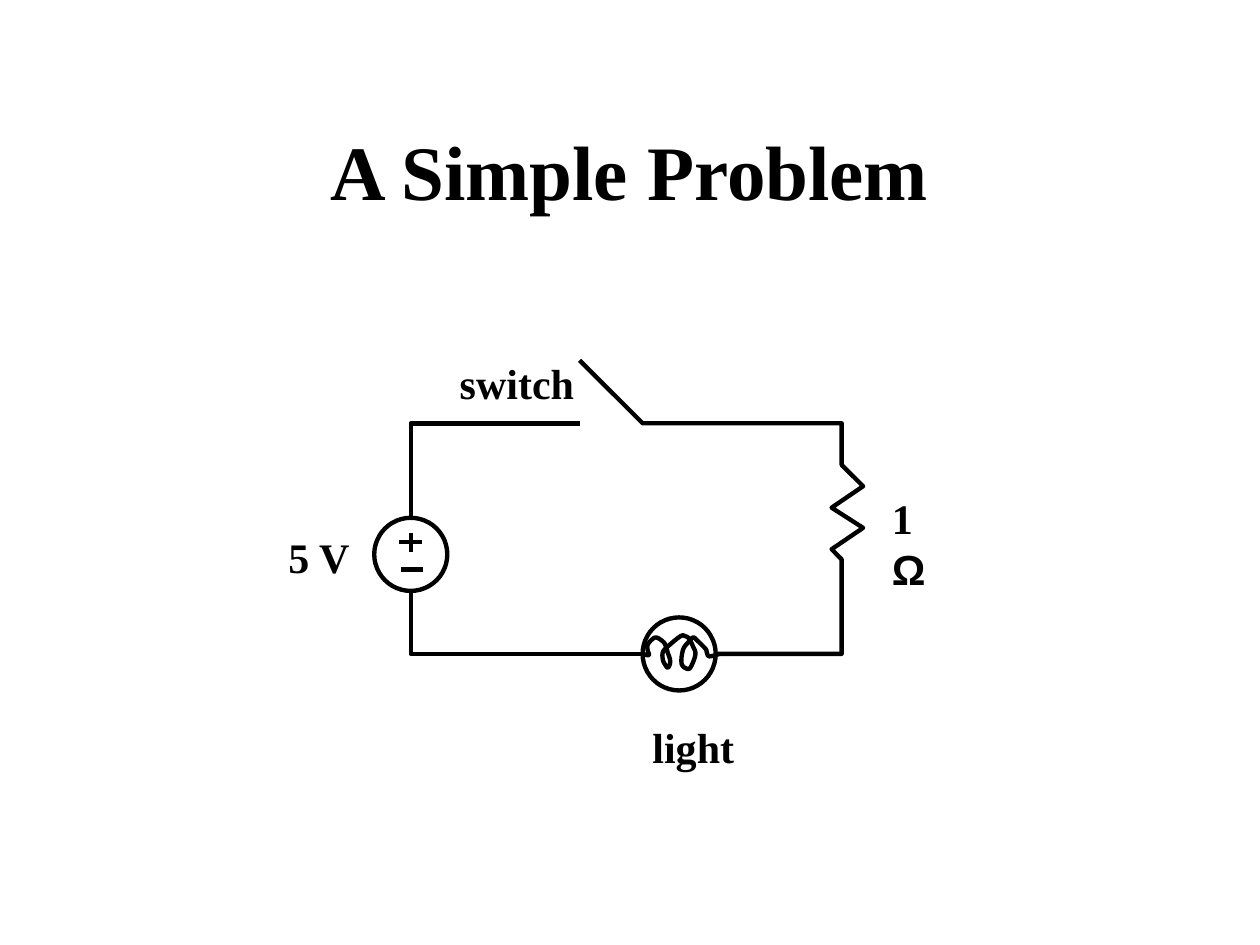
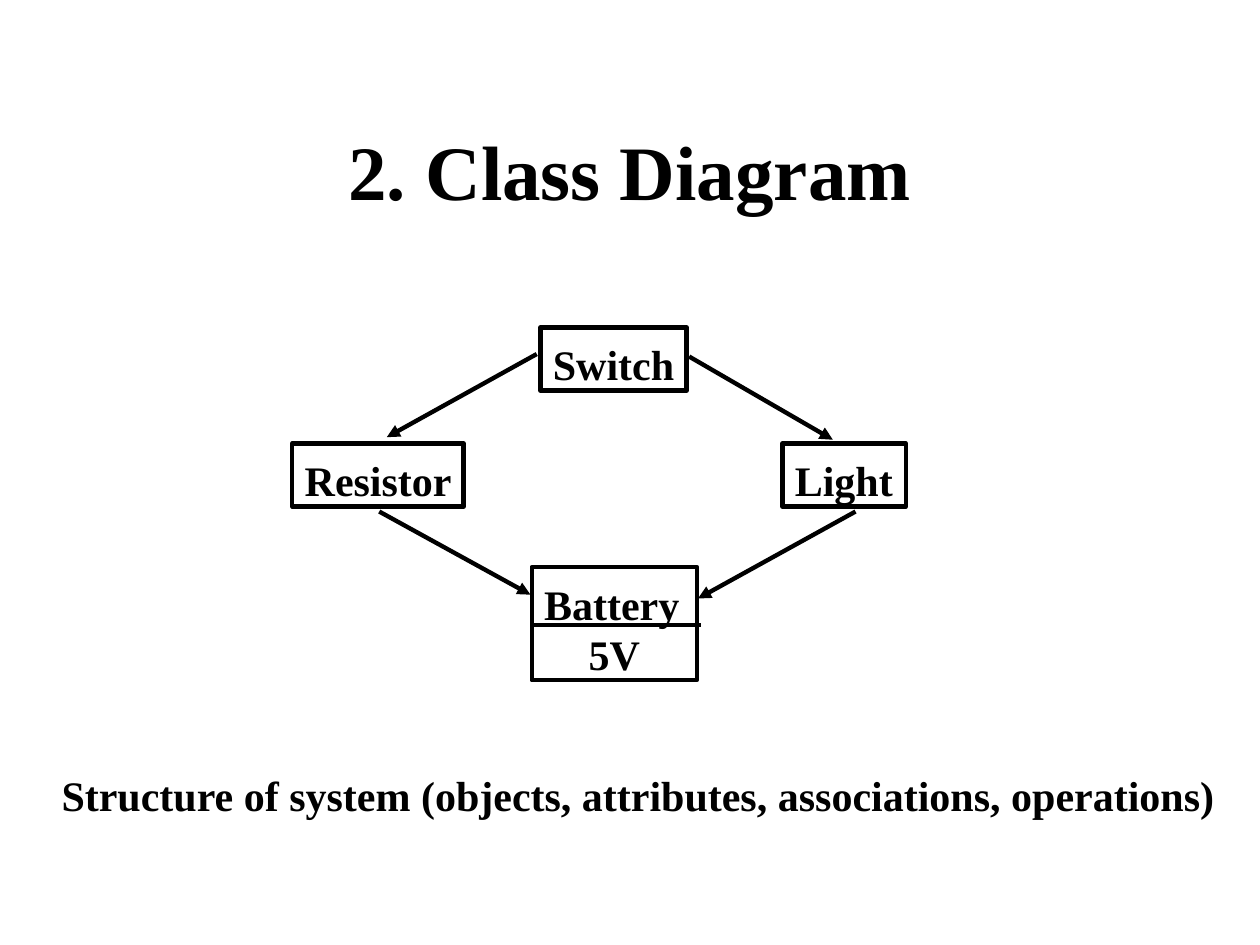
from dataclasses import dataclass
from typing import NamedTuple

from lxml.etree import SubElement
from pptx import Presentation
from pptx.dml.color import RGBColor
from pptx.enum.shapes import MSO_CONNECTOR, MSO_SHAPE
from pptx.enum.text import MSO_ANCHOR, PP_ALIGN
from pptx.oxml.ns import qn
from pptx.shapes.base import BaseShape
from pptx.slide import Slide
from pptx.text.text import TextFrame
from pptx.util import Inches, Pt


@dataclass(frozen=True)
class Theme:
    ink: RGBColor = RGBColor(0, 0, 0)
    font: str = "Times New Roman"
    symbol_font: str = "Arial"
    title_size: int = 44
    body_size: int = 24
    line_width: float = 2.5
    text_top: float = 0.09


THEME = Theme()


class Point(NamedTuple):
    x: float
    y: float


class Box(NamedTuple):
    left: float
    top: float
    width: float
    height: float


class Label(NamedTuple):
    text: str
    box: Box


class Line(NamedTuple):
    start: Point
    end: Point


TITLE_BOX = Box(0.75, 0.72, 8.5, 1.25)

# Circuit: the loop runs between these edges.
LEFT, RIGHT, TOP, BOTTOM = 3.26, 6.68, 3.36, 5.19
SOURCE = Box(2.97, 4.11, 0.58, 0.58)
BULB = Box(5.1, 4.9, 0.58, 0.58)
SWITCH_GAP = (4.6, 5.1)
ZIGZAG = [Point(RIGHT, 3.69), Point(6.85, 3.86), Point(6.6, 4.03),
          Point(6.85, 4.19), Point(6.6, 4.36), Point(RIGHT, 4.44)]
WIRES = [
    [Point(LEFT, SOURCE.top), Point(LEFT, TOP), Point(SWITCH_GAP[0], TOP)],
    [Point(SWITCH_GAP[0], 2.86), Point(SWITCH_GAP[1], TOP), Point(RIGHT, TOP),
     *ZIGZAG, Point(RIGHT, BOTTOM), Point(BULB.left + BULB.width, BOTTOM)],
    [Point(BULB.left, BOTTOM), Point(LEFT, BOTTOM),
     Point(LEFT, SOURCE.top + SOURCE.height)],
]
FILAMENT = [Point(x, y) for x, y in (
    (5.1, 5.19), (5.15, 5.2), (5.14, 5.16), (5.14, 5.12), (5.17, 5.08),
    (5.21, 5.06), (5.27, 5.1), (5.29, 5.15), (5.3, 5.18), (5.32, 5.25),
    (5.3, 5.3), (5.27, 5.26), (5.26, 5.23), (5.26, 5.18), (5.29, 5.14),
    (5.4, 5.05), (5.44, 5.05), (5.47, 5.07), (5.5, 5.13), (5.52, 5.19),
    (5.49, 5.28), (5.46, 5.31), (5.41, 5.27), (5.42, 5.16), (5.46, 5.1),
    (5.5, 5.06), (5.53, 5.08), (5.6, 5.15), (5.61, 5.18), (5.63, 5.21),
    (5.71, 5.19))]
POLARITY_SIGNS = [
    Line(Point(LEFT, 4.23), Point(LEFT, 4.38)),
    Line(Point(3.17, 4.3), Point(3.35, 4.3)),
    Line(Point(3.18, 4.52), Point(3.36, 4.52)),
]
CIRCUIT_LABELS = [
    Label("5 V", Box(2.19, 4.13, 0.69, 0.5)),
    Label("light", Box(5.08, 5.64, 0.85, 0.5)),
    Label("switch", Box(3.55, 2.75, 1.11, 0.5)),
]
RESISTANCE_BOX = Box(6.98, 3.82, 0.66, 0.9)

CLASSES = [
    Label("Switch", Box(4.29, 2.6, 1.16, 0.5)),
    Label("Resistor", Box(2.32, 3.52, 1.36, 0.5)),
    Label("Light", Box(6.21, 3.52, 0.98, 0.5)),
]
BATTERY_BOX = Box(4.22, 4.5, 1.31, 0.9)
BATTERY_DIVIDER = Line(Point(4.22, 4.96), Point(5.56, 4.96))
ASSOCIATIONS = [
    Line(Point(4.26, 2.81), Point(3.07, 3.47)),
    Line(Point(5.47, 2.83), Point(6.61, 3.49)),
    Line(Point(3.01, 4.06), Point(4.21, 4.72)),
    Line(Point(6.79, 4.06), Point(5.54, 4.75)),
]
CAPTION = Label("Structure of system (objects, attributes, associations, operations)",
                Box(0.39, 6.02, 9.35, 0.5))


def inches(box: Box) -> list[Inches]:
    return [Inches(length) for length in box]


def write(frame: TextFrame, text: str, *, size: int = THEME.body_size,
          font: str = THEME.font, align: PP_ALIGN = PP_ALIGN.LEFT,
          new_paragraph: bool = False) -> None:
    """Append a run to the last paragraph, or to a new one."""
    paragraph = frame.add_paragraph() if new_paragraph else frame.paragraphs[-1]
    paragraph.alignment = align
    run = paragraph.add_run()
    run.text = text
    run.font.size = Pt(size)
    run.font.name = font
    run.font.bold = True
    run.font.color.rgb = THEME.ink


def prepare_frame(shape: BaseShape, wrap: bool = False) -> TextFrame:
    frame = shape.text_frame
    frame.word_wrap = wrap
    frame.vertical_anchor = MSO_ANCHOR.TOP
    frame.margin_top = Inches(THEME.text_top)
    return frame


def add_text_frame(slide: Slide, box: Box, wrap: bool = False) -> TextFrame:
    return prepare_frame(slide.shapes.add_textbox(*inches(box)), wrap)


def add_label(slide: Slide, label: Label) -> None:
    write(add_text_frame(slide, label.box), label.text)


def add_title(slide: Slide, text: str) -> None:
    frame = add_text_frame(slide, TITLE_BOX, wrap=True)
    frame.margin_top = frame.margin_bottom
    frame.vertical_anchor = MSO_ANCHOR.MIDDLE
    write(frame, text, size=THEME.title_size, align=PP_ALIGN.CENTER)


def outline(shape: BaseShape) -> None:
    shape.shadow.inherit = False
    shape.fill.background()
    shape.line.color.rgb = THEME.ink
    shape.line.width = Pt(THEME.line_width)


def add_outlined(slide: Slide, preset: MSO_SHAPE, box: Box) -> BaseShape:
    shape = slide.shapes.add_shape(preset, *inches(box))
    outline(shape)
    return shape


def add_path(slide: Slide, points: list[Point]) -> None:
    corners = [(Inches(x), Inches(y)) for x, y in points]
    builder = slide.shapes.build_freeform(*corners[0], scale=1.0)
    builder.add_line_segments(corners[1:], close=False)
    outline(builder.convert_to_shape())


def add_line(slide: Slide, line: Line, arrow: bool = False) -> None:
    connector = slide.shapes.add_connector(
        MSO_CONNECTOR.STRAIGHT, *[Inches(value) for value in (*line.start, *line.end)])
    connector.line.color.rgb = THEME.ink
    connector.line.width = Pt(THEME.line_width)
    if arrow:
        SubElement(connector.line._get_or_add_ln(), qn("a:tailEnd"), type="triangle")
    SubElement(connector._element.spPr, qn("a:effectLst"))


def smooth_path(points: list[Point], steps: int = 4) -> list[Point]:
    """Return a Catmull-Rom curve through the points, as short straight steps."""
    padded = [points[0], *points, points[-1]]
    curve = [points[0]]
    for before, start, end, after in zip(padded, padded[1:], padded[2:], padded[3:]):
        for step in range(1, steps + 1):
            t = step / steps
            curve.append(Point(*(
                b + 0.5 * t * (c - a + t * (2 * a - 5 * b + 4 * c - d
                                            + t * (3 * (b - c) + d - a)))
                for a, b, c, d in zip(before, start, end, after))))
    return curve


def build_circuit(slide: Slide) -> None:
    add_title(slide, "A Simple Problem")
    for box in (SOURCE, BULB):
        add_outlined(slide, MSO_SHAPE.OVAL, box)
    for wire in (*WIRES, smooth_path(FILAMENT)):
        add_path(slide, wire)
    for sign in POLARITY_SIGNS:
        add_line(slide, sign)
    resistance = add_text_frame(slide, RESISTANCE_BOX, wrap=True)
    write(resistance, "1 ")
    write(resistance, "Ω", font=THEME.symbol_font)
    for label in CIRCUIT_LABELS:
        add_label(slide, label)


def build_class_diagram(slide: Slide) -> None:
    add_title(slide, "2. Class Diagram")
    battery = prepare_frame(add_outlined(slide, MSO_SHAPE.RECTANGLE, BATTERY_BOX), wrap=True)
    write(battery, "Battery")
    write(battery, "5V", align=PP_ALIGN.CENTER, new_paragraph=True)
    for label in CLASSES:
        write(prepare_frame(add_outlined(slide, MSO_SHAPE.RECTANGLE, label.box)), label.text)
    for association in ASSOCIATIONS:
        add_line(slide, association, arrow=True)
    add_label(slide, CAPTION)
    add_line(slide, BATTERY_DIVIDER)


def main() -> None:
    presentation = Presentation()
    presentation.slide_width = Inches(10)
    presentation.slide_height = Inches(7.5)
    blank_layout = presentation.slide_layouts[6]
    for build in (build_circuit, build_class_diagram):
        build(presentation.slides.add_slide(blank_layout))
    presentation.save("out.pptx")


if __name__ == "__main__":
    main()
